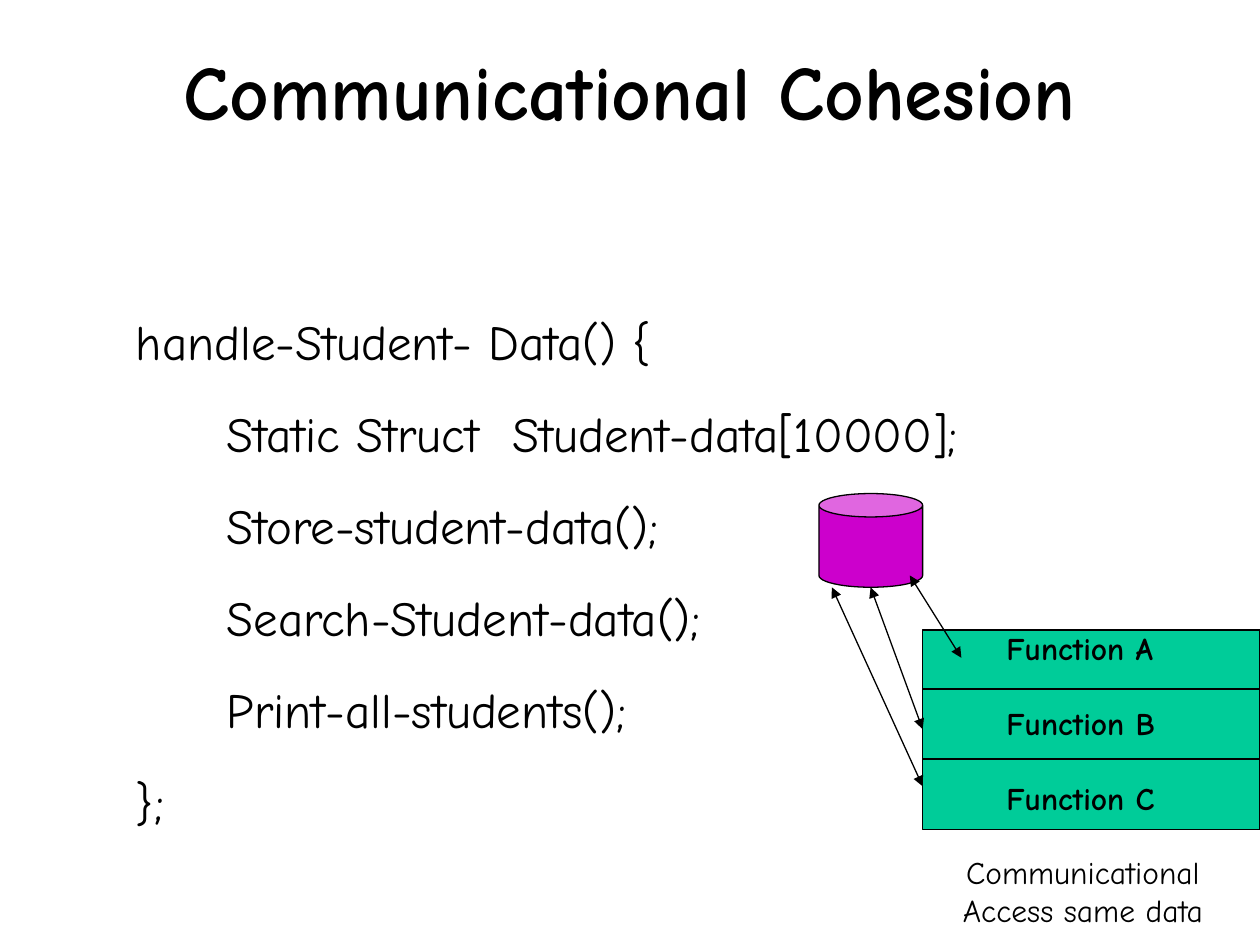
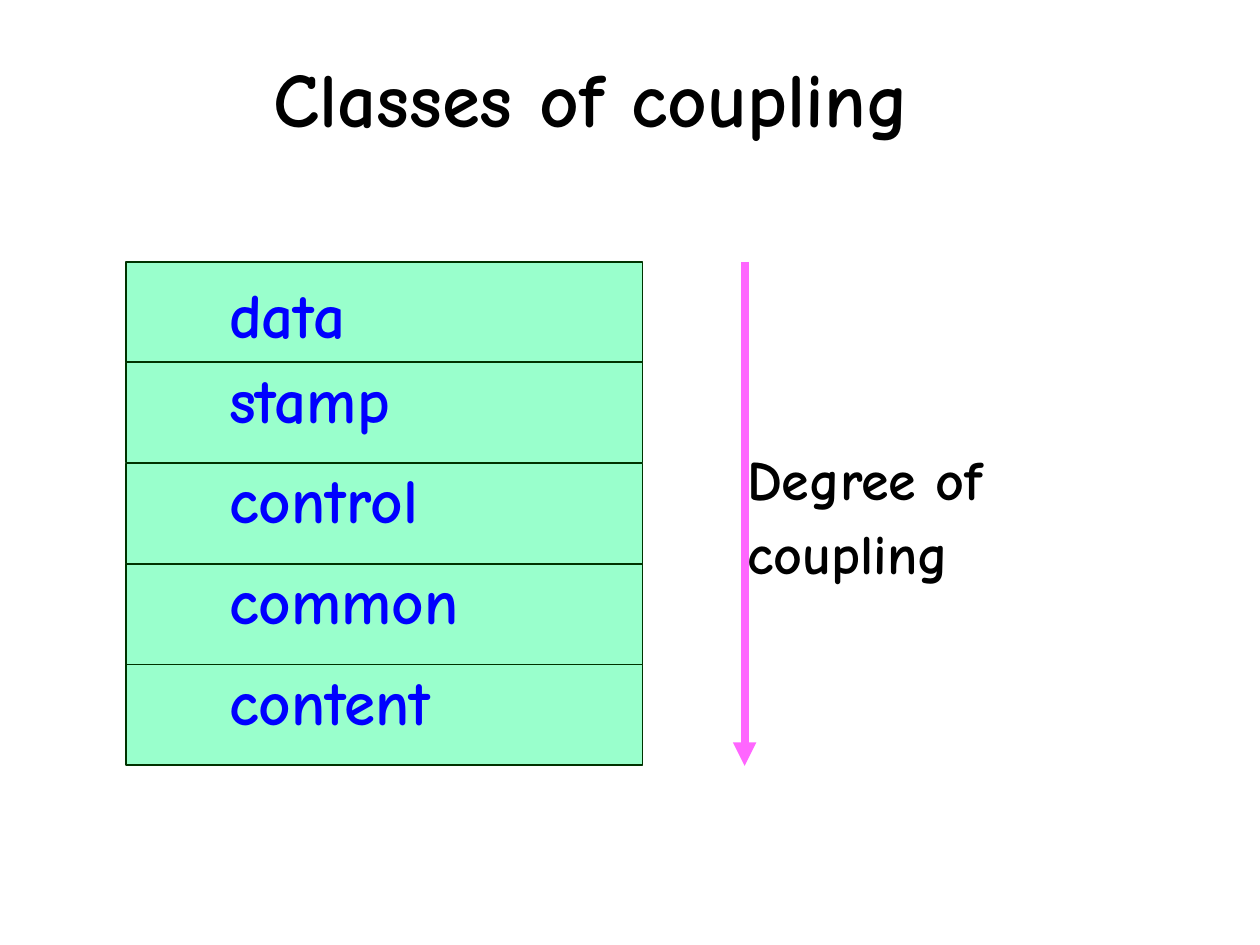
"""Build two slides on communicational cohesion and the classes of coupling."""
from lxml.etree import SubElement
from pptx import Presentation
from pptx.dml.color import RGBColor
from pptx.enum.shapes import MSO_CONNECTOR, MSO_SHAPE
from pptx.enum.text import MSO_ANCHOR, MSO_AUTO_SIZE, PP_ALIGN
from pptx.oxml.ns import qn
from pptx.util import Cm, Pt

FONT = "Comic Neue"
BLACK = RGBColor(0x00, 0x00, 0x00)
BLUE = RGBColor(0x00, 0x00, 0xFF)
TEAL = RGBColor(0x00, 0xCC, 0x99)
MAGENTA = RGBColor(0xCC, 0x00, 0xCC)
MINT = RGBColor(0x99, 0xFF, 0xCC)
DARK_GREEN = RGBColor(0x00, 0x33, 0x00)
PINK = RGBColor(0xFF, 0x66, 0xFF)

CODE_LINES = [
    (0, "handle-Student- Data() {"),
    (1, "Static Struct  Student-data[10000];"),
    (1, "Store-student-data();"),
    (1, "Search-Student-data();"),
    (1, "Print-all-students();"),
    (0, "};"),
]
FUNCTIONS = ["Function A", "Function B", "Function C"]
COUPLING_CLASSES = ["data", "stamp", "control", "common", "content"]


def set_font(paragraph, size, color=BLACK, bold=False):
    """Give a paragraph the deck's typeface with the given size and colour."""
    font = paragraph.font
    font.name, font.size, font.bold = FONT, Pt(size), bold
    font.color.rgb = color


def add_titled_slide(deck, text, left, top, width, anchor, spacing):
    """Add a title-only slide and format its title."""
    slide = deck.slides.add_slide(deck.slide_layouts[5])
    title = slide.shapes.title
    title.left, title.top, title.width, title.height = (
        Cm(left), Cm(top), Cm(width), Cm(3.18))
    frame = title.text_frame
    frame.text = text
    frame.auto_size = MSO_AUTO_SIZE.NONE
    frame.vertical_anchor = anchor
    heading = frame.paragraphs[0]
    heading.alignment = PP_ALIGN.CENTER
    heading.line_spacing = spacing
    set_font(heading, 44, bold=True)
    return slide


def add_text(slide, lines, left, top, width, height, size, color=BLACK, bold=False,
             inset=(0.25, 0.13), align=PP_ALIGN.LEFT, spacing=1.0, gap=0):
    """Add a text box with one paragraph per line and return its paragraphs."""
    box = slide.shapes.add_textbox(Cm(left), Cm(top), Cm(width), Cm(height))
    frame = box.text_frame
    frame.word_wrap = True
    frame.margin_left = frame.margin_right = Cm(inset[0])
    frame.margin_top = frame.margin_bottom = Cm(inset[1])
    frame.text = "\n".join(lines)
    for index, paragraph in enumerate(frame.paragraphs):
        paragraph.alignment = align
        paragraph.line_spacing = spacing
        paragraph.space_before = Pt(gap if index else 0)
        set_font(paragraph, size, color, bold)
    return frame.paragraphs


def add_block(slide, kind, left, top, width, height, fill, outline=BLACK):
    """Add a filled preset shape with a thin outline."""
    block = slide.shapes.add_shape(kind, Cm(left), Cm(top), Cm(width), Cm(height))
    block.shadow.inherit = False
    block.fill.solid()
    block.fill.fore_color.rgb = fill
    block.line.color.rgb = outline
    block.line.width = Pt(0.75)
    return block


def add_line(slide, start, end, color=BLACK, width=0.75, arrows=()):
    """Add a straight line with triangles at the named ends."""
    line = slide.shapes.add_connector(
        MSO_CONNECTOR.STRAIGHT, *(Cm(value) for value in start + end))
    line.line.color.rgb = color
    line.line.width = Pt(width)
    properties = line._element.spPr
    for end_name in arrows:
        SubElement(properties.find(qn("a:ln")), qn(f"a:{end_name}")).set("type", "triangle")
    SubElement(properties, qn("a:effectLst"))


def add_code(slide):
    """Add the student data listing with its indented body."""
    paragraphs = add_text(slide, [text for _, text in CODE_LINES], 2.74, 6.1, 19.25, 11.5,
                          28, inset=(0, 0), spacing=1.15, gap=14)
    for paragraph, (depth, _) in zip(paragraphs, CODE_LINES):
        paragraph._p.get_or_add_pPr().set("marL", str(Cm(1.83) * depth))


def add_shared_data_diagram(slide):
    """Draw three functions that use one data store."""
    left, right = 18.6, 25.4
    add_block(slide, MSO_SHAPE.RECTANGLE, left, 12.7, right - left, 4.02, TEAL)
    for divider in (13.89, 15.3):
        add_line(slide, (left, divider), (right, divider))
    add_text(slide, FUNCTIONS, 20.04, 12.55, 3.8, 4.06, 18, bold=True, gap=21.2)
    add_text(slide, ["Communicational", "Access same data"], 18.26, 17.07, 7.14, 1.78, 18,
             align=PP_ALIGN.CENTER)
    add_block(slide, MSO_SHAPE.CAN, 16.51, 9.95, 2.09, 1.89, MAGENTA)
    for store_end, function_end in [((18.34, 11.6), (19.38, 13.26)),
                                    ((17.55, 11.84), (left, 14.7)),
                                    ((16.77, 11.84), (left, 15.85))]:
        add_line(slide, store_end, function_end, arrows=("headEnd", "tailEnd"))


def add_coupling_scale(slide):
    """Draw the stacked coupling classes beside the arrow of rising degree."""
    top, pitch, axis = 5.28, 2.03, 15.01
    for rank in range(len(COUPLING_CLASSES)):
        band = add_block(slide, MSO_SHAPE.ROUNDED_RECTANGLE, 2.54, top + rank * pitch,
                         10.41, 2.02, MINT, DARK_GREEN)
        band.adjustments[0] = 0
    for rank, name in enumerate(COUPLING_CLASSES):
        lift = 0.33 if rank else 0
        add_text(slide, [name], 4.57, top + rank * pitch - lift, 8.89, 2.02, 36, BLUE, True,
                 inset=(0.05, 0.13), spacing=1.1)
    add_line(slide, (axis, top), (axis, 15.44), PINK, 4.5, ("tailEnd",))
    add_text(slide, ["Degree of \vcoupling"], axis, 8.69, 8.89, 3.1, 32, bold=True,
             inset=(0.05, 0.13), spacing=1.1)


def main():
    """Build and save the deck."""
    deck = Presentation()
    deck.slide_width, deck.slide_height = Cm(25.4), Cm(19.05)
    cohesion = add_titled_slide(deck, "Communicational Cohesion", 1.27, 0.76, 22.86,
                                MSO_ANCHOR.TOP, 1.0)
    add_code(cohesion)
    add_shared_data_diagram(cohesion)
    coupling = add_titled_slide(deck, "Classes of coupling", 1.12, 0.51, 21.59,
                                MSO_ANCHOR.MIDDLE, 0.85)
    add_coupling_scale(coupling)
    deck.save("out.pptx")


if __name__ == "__main__":
    main()
